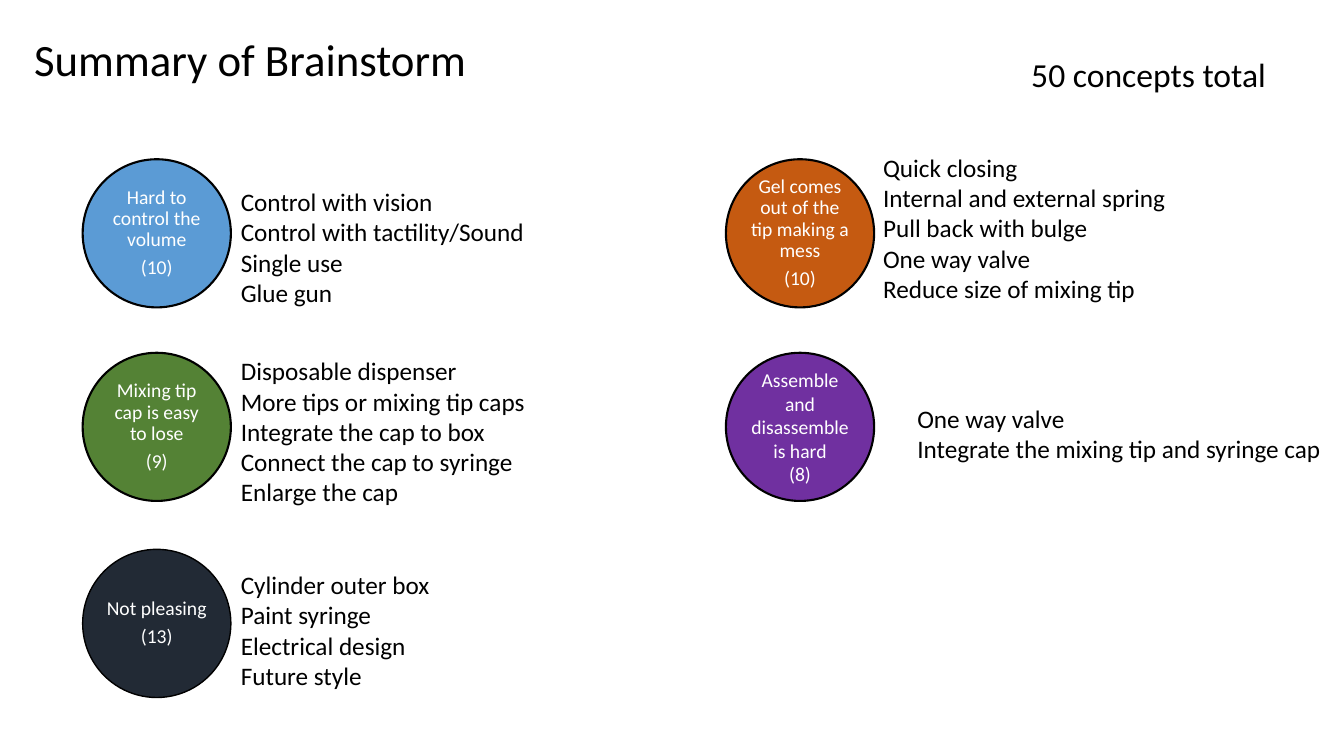
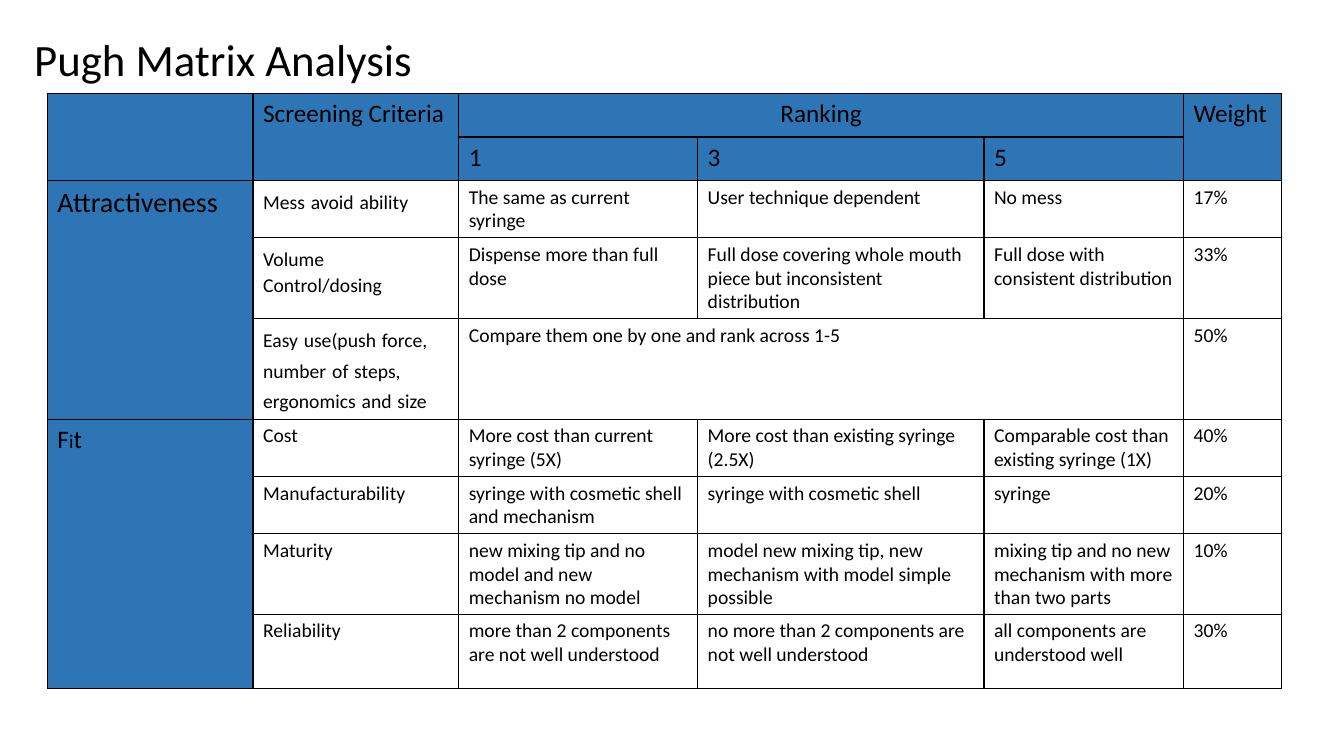
from dataclasses import dataclass

from lxml import etree
from pptx import Presentation
from pptx import util as u
from pptx.dml import color
from pptx.enum import shapes, text
from pptx.oxml import ns

FONT = "Calibri"
COLORS = {
    "text": "000000", "light": "FFFFFF", "line": "000000", "header": "2E75B6",
    "blue": "5B9BD5", "orange": "C55A11", "green": "548235",
    "purple": "7030A0", "navy": "222A35",
}
CIRCLE_SIZE = 1.47
LABEL_SIZE = 1.04
LABEL_INSET = (CIRCLE_SIZE - LABEL_SIZE) / 2
LEFT, RIGHT = 0.82, 7.2
TOP, MIDDLE, BOTTOM = 1.58, 3.5, 5.45


@dataclass
class Box:
    left: float
    top: float
    width: float
    height: float

    def lengths(self):
        return [u.Inches(n) for n in (self.left, self.top, self.width, self.height)]


@dataclass
class Theme:
    problem: str
    count: int
    fill: str
    left: float
    top: float
    concepts: list[str]
    concepts_box: Box
    outline: float = 1.5
    line_spacing: float = 0.9
    space_after: float = 5


THEMES = [
    Theme("Hard to control the volume", 10, "blue", LEFT, TOP,
          ["Control with vision", "Control with tactility/Sound", "Single use", "Glue gun"],
          Box(2.29, 1.8, 3.13, 1.31)),
    Theme("Gel comes out of the tip making a mess", 10, "orange", RIGHT, TOP,
          ["Quick closing", "Internal and external spring", "Pull back with bulge",
           "One way valve", "Reduce size of mixing tip"],
          Box(8.66, 1.46, 3.45, 1.92)),
    Theme("Mixing tip cap is easy to lose", 9, "green", LEFT, MIDDLE,
          ["Disposable dispenser", "More tips or mixing tip caps", "Integrate the cap to box",
           "Connect the cap to syringe", "Enlarge the cap"],
          Box(2.29, 3.48, 3.13, 1.92)),
    Theme("Assemble and disassemble is hard", 8, "purple", RIGHT, MIDDLE,
          ["One way valve", "Integrate the mixing tip and syringe cap"],
          Box(9, 3.95, 4.27, 0.71), line_spacing=1, space_after=0),
    Theme("Not pleasing", 13, "navy", LEFT, BOTTOM,
          ["Cylinder outer box", "Paint syringe", "Electrical design", "Future style"],
          Box(2.29, 5.6, 3.55, 1.31), outline=1),
]

# Pugh matrix: empty strings are blank or merged cells
COLUMN_WIDTHS = [2.04, 2.04, 2.37, 2.84, 1.98, 0.97]
ROW_HEIGHTS = [0.43, 0.43, 0.55, 0.78, 0.97, 0.55, 0.55, 0.78, 0.74]
MATRIX = [
    ["", "Screening Criteria", "Ranking", "", "", "Weight"],
    ["", "", "1", "3", "5", ""],
    ["Attractiveness", "Mess avoid ability", "The same as current syringe",
     "User technique dependent", "No mess", "17%"],
    ["", "Volume Control/dosing", "Dispense more than full dose",
     "Full dose covering whole mouth piece but inconsistent distribution",
     "Full dose with consistent distribution", "33%"],
    ["", "Easy use(push force, number of steps, ergonomics and size",
     "Compare them one by one and rank across 1-5", "", "", "50%"],
    ["Fit", "Cost", "More cost than current syringe (5X)",
     "More cost than existing syringe (2.5X)",
     "Comparable cost than existing syringe (1X)", "40%"],
    ["", "Manufacturability", "syringe with cosmetic shell and mechanism",
     "syringe with cosmetic shell", "syringe", "20%"],
    ["", "Maturity", "new mixing tip and no model and new mechanism no model",
     "model new mixing tip, new mechanism with model simple possible",
     "mixing tip and no new mechanism with more than two parts", "10%"],
    ["", "Reliability", "more than 2 components are not well understood",
     "no more than 2 components are not well understood",
     "all components are understood well", "30%"],
]
# First and last (row, column) of each merged area
MERGES = [((0, 0), (1, 0)), ((0, 1), (1, 1)), ((0, 2), (0, 4)), ((0, 5), (1, 5)),
          ((2, 0), (4, 0)), ((4, 2), (4, 4)), ((5, 0), (8, 0))]
HEADER_ROWS = 2
SPACED_ROWS = (2, 3, 4)


def rgb(name: str) -> color.RGBColor:
    return color.RGBColor.from_string(COLORS[name])


def format_run(run, size: float, color_name: str = "text") -> None:
    run.font.name = FONT
    run.font.size = u.Pt(size)
    run.font.color.rgb = rgb(color_name)


def add_text(parent, box: Box, lines: list[str], size: float, color_name: str = "text"):
    """Add a wrapping text box with one paragraph per line."""
    text_frame = parent.shapes.add_textbox(*box.lengths()).text_frame
    text_frame.word_wrap = True
    text_frame.text = "\n".join(lines)
    for paragraph in text_frame.paragraphs:
        for run in paragraph.runs:
            format_run(run, size, color_name)
    return text_frame


def add_titled_slide(presentation, title: str):
    slide = presentation.slides.add_slide(presentation.slide_layouts[6])
    add_text(slide, Box(0.24, 0.27, 4.61, 0.64), [title], 32)
    return slide


def add_theme(slide, theme: Theme) -> None:
    """Draw a labelled circle with its concepts beside it."""
    group = slide.shapes.add_group_shape()
    circle_box = Box(theme.left, theme.top, CIRCLE_SIZE, CIRCLE_SIZE)
    circle = group.shapes.add_shape(shapes.MSO_SHAPE.OVAL, *circle_box.lengths())
    circle.shadow.inherit = False
    circle.fill.solid()
    circle.fill.fore_color.rgb = rgb(theme.fill)
    circle.line.color.rgb = rgb("line")
    circle.line.width = u.Pt(theme.outline)

    label_box = Box(theme.left + LABEL_INSET, theme.top + LABEL_INSET, LABEL_SIZE, LABEL_SIZE)
    label = add_text(group, label_box, [theme.problem, f"({theme.count})"], 14, "light")
    label.vertical_anchor = text.MSO_ANCHOR.MIDDLE
    label.margin_left = label.margin_right = u.Inches(0.02)
    label.margin_top = label.margin_bottom = u.Inches(0.02)
    for paragraph in label.paragraphs:
        paragraph.alignment = text.PP_ALIGN.CENTER
        paragraph.line_spacing = theme.line_spacing
        paragraph.space_after = u.Pt(theme.space_after)

    concepts = add_text(slide, theme.concepts_box, theme.concepts, 18)
    concepts.auto_size = text.MSO_AUTO_SIZE.SHAPE_TO_FIT_TEXT


def set_borders(cell, width: float = 1) -> None:
    properties = cell._tc.get_or_add_tcPr()
    for index, side in enumerate(("lnL", "lnR", "lnT", "lnB")):
        line = etree.Element(ns.qn(f"a:{side}"), w=str(u.Pt(width)))
        fill = etree.SubElement(line, ns.qn("a:solidFill"))
        etree.SubElement(fill, ns.qn("a:srgbClr"), val=COLORS["line"])
        properties.insert(index, line)


def cell_runs(row: int, column: int, content: str) -> list[tuple[str, float]]:
    """Split a cell's text into pieces with their sizes."""
    if row < HEADER_ROWS:
        return [(content, 18)]
    if content == "Fit":
        return [("F", 18), ("i", 14), ("t", 18)]
    if column == 0:
        return [(content, 20)]
    if column == 1 and row in SPACED_ROWS:
        pieces = []
        for word in content.split():
            pieces += [(" ", 18), (word, 14)]
        return pieces[1:]
    return [(content, 14)]


def fill_cell(cell, row: int, column: int, content: str) -> None:
    if row < HEADER_ROWS or column == 0:
        cell.fill.solid()
        cell.fill.fore_color.rgb = rgb("header")
    else:
        cell.fill.background()
    set_borders(cell)
    if not content:
        return
    paragraph = cell.text_frame.paragraphs[0]
    if content == "Ranking":
        paragraph.alignment = text.PP_ALIGN.CENTER
    for piece, size in cell_runs(row, column, content):
        run = paragraph.add_run()
        run.text = piece
        format_run(run, size)


def add_matrix(slide) -> None:
    box = Box(0.47, 0.93, sum(COLUMN_WIDTHS), sum(ROW_HEIGHTS))
    table = slide.shapes.add_table(len(MATRIX), len(COLUMN_WIDTHS), *box.lengths()).table
    table.first_row = table.horz_banding = False
    for column, width in zip(table.columns, COLUMN_WIDTHS):
        column.width = u.Inches(width)
    for row, height in zip(table.rows, ROW_HEIGHTS):
        row.height = u.Inches(height)
    for row_index, contents in enumerate(MATRIX):
        for column_index, content in enumerate(contents):
            fill_cell(table.cell(row_index, column_index), row_index, column_index, content)
    for first, last in MERGES:
        table.cell(*first).merge(table.cell(*last))


def main() -> None:
    presentation = Presentation()
    presentation.slide_width = u.Inches(13.33)
    presentation.slide_height = u.Inches(7.5)

    # Brainstorm themes
    slide = add_titled_slide(presentation, "Summary of Brainstorm")
    for theme in THEMES:
        add_theme(slide, theme)
    add_text(slide, Box(10.13, 0.49, 3.14, 0.5), ["50 concepts total"], 24)

    # Pugh matrix
    slide = add_titled_slide(presentation, "Pugh Matrix Analysis")
    add_matrix(slide)

    presentation.save("out.pptx")


if __name__ == "__main__":
    main()
